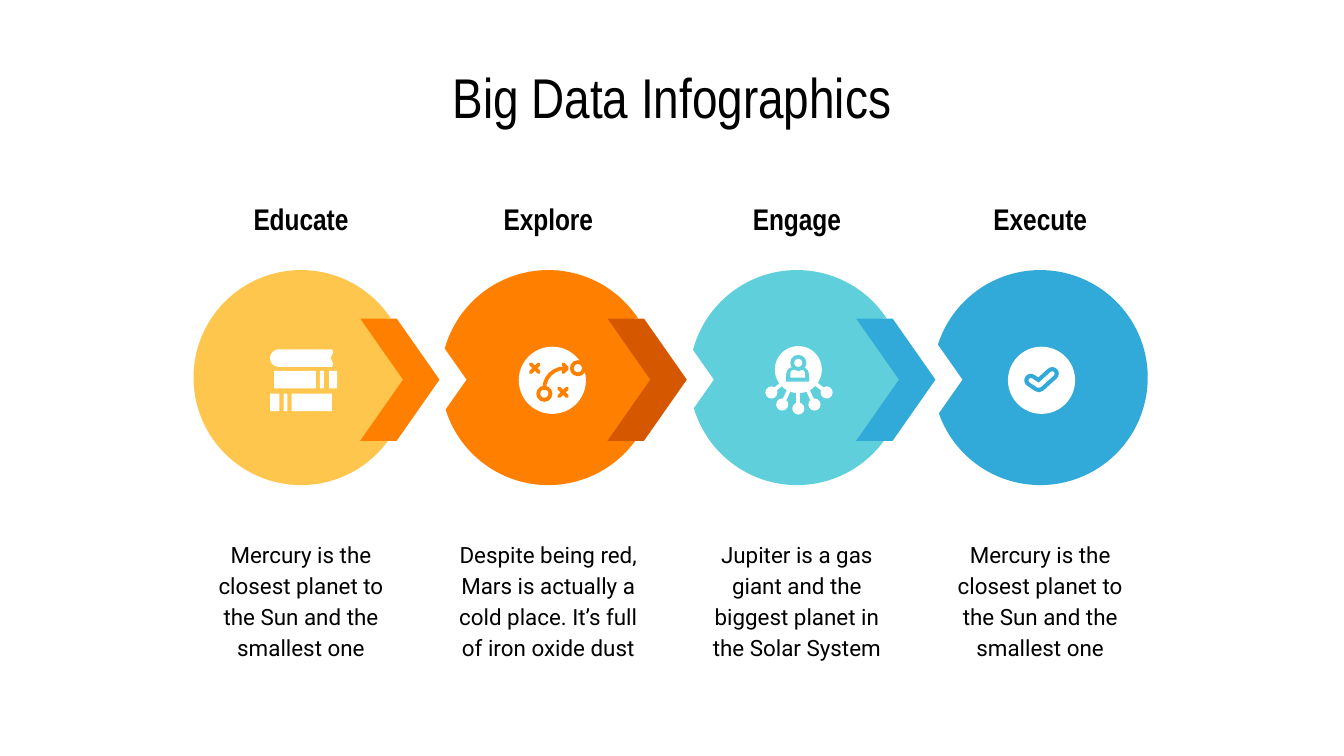
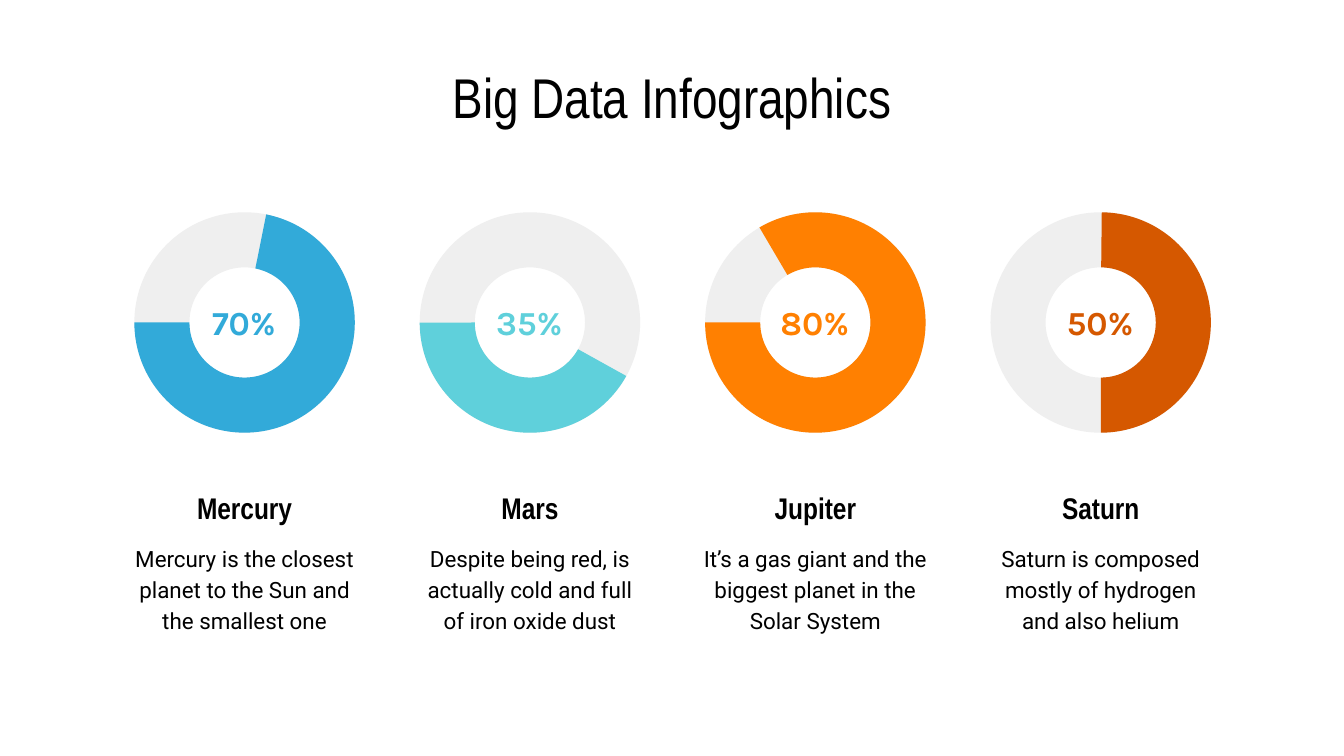
from math import cos, pi, sin

from pptx import Presentation
from pptx.dml.color import RGBColor
from pptx.enum.shapes import MSO_SHAPE
from pptx.enum.text import MSO_ANCHOR, MSO_AUTO_SIZE, PP_ALIGN
from pptx.oxml.ns import qn
from pptx.util import Inches, Pt

OVAL = MSO_SHAPE.OVAL
RECT = MSO_SHAPE.RECTANGLE
ROUNDED = MSO_SHAPE.ROUNDED_RECTANGLE
SHOULDERS = MSO_SHAPE.ROUND_2_SAME_RECTANGLE
CHEVRON = MSO_SHAPE.CHEVRON
ARC = MSO_SHAPE.ARC
BLOCK_ARC = MSO_SHAPE.BLOCK_ARC
TOP, MIDDLE = MSO_ANCHOR.TOP, MSO_ANCHOR.MIDDLE
CENTER = PP_ALIGN.CENTER
NO_FIT = MSO_AUTO_SIZE.NONE

WHITE = RGBColor(0xFF, 0xFF, 0xFF)
BLACK = RGBColor(0, 0, 0)
GRAY = RGBColor(0xEF, 0xEF, 0xEF)
YELLOW = RGBColor(0xFF, 0xC6, 0x4E)
ORANGE = RGBColor(0xFF, 0x80, 0x01)
RUST = RGBColor(0xD5, 0x58, 0x00)
TEAL = RGBColor(0x5F, 0xD0, 0xDB)
BLUE = RGBColor(0x32, 0xAA, 0xD9)

HEADING_FONT, BODY_FONT, NUMBER_FONT = "Arial Narrow", "Roboto", "Karla"
TITLE = "Big Data Infographics"

STEPS = [
    ("Educate", "Mercury is the closest planet to the Sun and the smallest one",
     1.44, YELLOW, ORANGE),
    ("Explore", "Despite being red, Mars is actually a cold place. It’s full of iron oxide dust",
     3.28, ORANGE, RUST),
    ("Engage", "Jupiter is a gas giant and the biggest planet in the Solar System",
     5.13, TEAL, BLUE),
    ("Execute", "Mercury is the closest planet to the Sun and the smallest one",
     6.94, BLUE, None),
]

PLANETS = [
    ("Mercury", "Mercury is the closest planet to the Sun and the smallest one",
     "70%", BLUE, 281.33, 179.98),
    ("Mars", "Despite being red, is actually cold and full of iron oxide dust",
     "35%", TEAL, 29.04, 179.98),
    ("Jupiter", "It’s a gas giant and the biggest planet in the Solar System",
     "80%", ORANGE, 239.55, 179.98),
    ("Saturn", "Saturn is composed mostly of hydrogen and also helium",
     "50%", RUST, 270.57, 89.89),
]

STEP_SIZE, STEP_TOP, ICON_TOP = 1.6, 2.01, 2.58
ARROW_TOP, ARROW_WIDTH, ARROW_HEIGHT = 2.37, 0.59, 0.91
ARROW_SHIFT, GAP_SHIFT = 1.24, 1.44
DONUT_LEFT, DONUT_TOP, DONUT_SIZE = 1, 1.58, 1.64
DONUT_PITCH = 6.37 / 3
CAPTION_WIDTH = 2.08
ANGLE_UNIT = 0.6


def fill_shape(shape, color):
    shape.shadow.inherit = False
    shape.fill.solid()
    shape.fill.fore_color.rgb = color
    shape.line.fill.background()


def add_block(page, kind, color, left, top, width, height, adjustments=()):
    shape = page.shapes.add_shape(
        kind, Inches(left), Inches(top), Inches(width), Inches(height))
    fill_shape(shape, color)
    for index, value in enumerate(adjustments):
        shape.adjustments[index] = value
    return shape


def add_disc(page, color, x, y, diameter):
    add_block(page, OVAL, color, x - diameter / 2, y - diameter / 2, diameter, diameter)


def style_stroke(shape, color, width):
    shape.shadow.inherit = False
    shape.fill.background()
    shape.line.color.rgb = color
    shape.line.width = Pt(width)
    shape._element.spPr.find(qn("a:ln")).set("cap", "rnd")


def add_outline(page, left, top, *lines, close=False):
    placed = [[(Inches(left + x), Inches(top + y)) for x, y in line] for line in lines]
    builder = page.shapes.build_freeform(*placed[0][0])
    builder.add_line_segments(placed[0][1:], close=close)
    for line in placed[1:]:
        builder.move_to(*line[0])
        builder.add_line_segments(line[1:], close=close)
    return builder.convert_to_shape()


def add_stroke(page, color, width, left, top, *lines):
    style_stroke(add_outline(page, left, top, *lines), color, width)


def write(box, text, font, size, color=BLACK, bold=False, anchor=MIDDLE,
          insets=(0.1, 0.1), spacing=None):
    frame = box.text_frame
    frame.text = text
    frame.word_wrap = True
    frame.auto_size = NO_FIT
    frame.vertical_anchor = anchor
    frame.margin_left = frame.margin_right = Inches(insets[0])
    frame.margin_top = frame.margin_bottom = Inches(insets[1])
    para = frame.paragraphs[0]
    para.alignment = CENTER
    if spacing:
        para.line_spacing = spacing
    span = para.runs[0]
    span.font.name = font
    span.font.size = Pt(size)
    span.font.bold = bold
    span.font.color.rgb = color


def add_text(page, place, text, font, size, **style):
    box = page.shapes.add_textbox(*map(Inches, place))
    write(box, text, font, size, **style)


def add_heading(page, place, text, insets):
    add_text(page, place, text, HEADING_FONT, 16, bold=True, insets=insets)


def add_body(page, place, text, **style):
    add_text(page, place, text, BODY_FONT, 12, spacing=1.15, **style)


def add_page(deck):
    page = deck.slides.add_slide(deck.slide_layouts[5])
    title = page.shapes.title
    title.left, title.top, title.width, title.height = map(Inches, (0.5, 0.45, 9, 0.53))
    write(title, TITLE, HEADING_FONT, 30)
    return page


def draw_books(page, left, top, color):
    radius, steps = 0.065, 12
    angles = [pi / 2 + pi * step / steps for step in range(steps + 1)]
    spine = [(radius - radius * abs(cos(angle)), radius - radius * sin(angle))
             for angle in angles]
    pages = [(0.46, 0), (0.47, 0.02), (0.45, radius), (0.47, 0.11), (0.46, 0.13)]
    book = add_outline(page, left, top + 0.02, spine[::-1] + pages, close=True)
    fill_shape(book, WHITE)
    rows = [(0.18, [(0.03, 0.31), (0.37, 0.03), (0.44, 0.06)]),
            (0.35, [(0, 0.07), (0.1, 0.03), (0.16, 0.3)])]
    for y, parts in rows:
        for x, width in parts:
            add_block(page, RECT, WHITE, left + x, top + y, width, 0.13)


def draw_strategy(page, left, top, color):
    add_disc(page, WHITE, left + 0.25, top + 0.25, 0.5)
    for x, y in [(0.19, 0.35), (0.44, 0.16)]:
        add_disc(page, color, left + x, top + y, 0.12)
        add_disc(page, WHITE, left + x, top + y, 0.06)
    reach = 0.03
    for x, y in [(0.12, 0.16), (0.33, 0.34)]:
        add_stroke(page, color, 2, left, top,
                   [(x - reach, y - reach), (x + reach, y + reach)],
                   [(x - reach, y + reach), (x + reach, y - reach)])
    curve = add_block(page, ARC, color, left + 0.19, top + 0.16, 0.3, 0.3,
                      (180 * ANGLE_UNIT, 270 * ANGLE_UNIT))
    style_stroke(curve, color, 2)
    add_stroke(page, color, 2, left, top, [(0.33, 0.13), (0.36, 0.16), (0.33, 0.19)])


def draw_network(page, left, top, color):
    hub = (0.25, 0.17)
    nodes = [(0.05, 0.34), (0.13, 0.43), (0.25, 0.46), (0.37, 0.43), (0.46, 0.34)]
    add_stroke(page, WHITE, 2, left, top, *[[hub, node] for node in nodes])
    for x, y in nodes:
        add_disc(page, WHITE, left + x, top + y, 0.09)
    add_disc(page, WHITE, left + hub[0], top + hub[1], 0.35)
    add_block(page, SHOULDERS, color, left + 0.16, top + 0.15, 0.17, 0.11, (0.5, 0))
    add_block(page, SHOULDERS, WHITE, left + 0.19, top + 0.17, 0.11, 0.06, (0.5, 0))
    add_disc(page, color, left + 0.25, top + 0.12, 0.12)
    add_disc(page, WHITE, left + 0.25, top + 0.12, 0.06)


def draw_check(page, left, top, color):
    add_disc(page, WHITE, left + 0.25, top + 0.25, 0.5)
    tick = [(0.17, 0.25), (0.23, 0.29), (0.33, 0.2)]
    for stroke_color, width in [(color, 7), (WHITE, 2.5)]:
        add_stroke(page, stroke_color, width, left, top, tick)


ICONS = [(draw_books, 0.57), (draw_strategy, 0.58), (draw_network, 0.56), (draw_check, 0.56)]


def build_steps(deck):
    page = add_page(deck)
    for heading, body, left, color, arrow_color in reversed(STEPS):
        add_block(page, ROUNDED, color, left, STEP_TOP, STEP_SIZE, STEP_SIZE, (0.5,))
        if arrow_color:
            for shift, fill in [(GAP_SHIFT, WHITE), (ARROW_SHIFT, arrow_color)]:
                add_block(page, CHEVRON, fill, left + shift, ARROW_TOP,
                          ARROW_WIDTH, ARROW_HEIGHT, (0.54,))
    for (heading, body, left, color, arrow_color), (draw_icon, inset) in zip(STEPS, ICONS):
        add_heading(page, (left, 1.24, STEP_SIZE, 0.77), heading, (0.25, 0.25))
        add_body(page, (left, 3.9, STEP_SIZE, 1.28), body, anchor=TOP)
        draw_icon(page, left + inset, ICON_TOP, color)


def build_planets(deck):
    page = add_page(deck)
    for column, (name, body, share, color, start, end) in enumerate(PLANETS):
        left = DONUT_LEFT + column * DONUT_PITCH
        for fill, first, last in [(GRAY, 180, 179.98), (color, start, end)]:
            add_block(page, BLOCK_ARC, fill, left, DONUT_TOP, DONUT_SIZE, DONUT_SIZE,
                      (first * ANGLE_UNIT, last * ANGLE_UNIT, 0.25))
        add_text(page, (left + 0.35, 2.21, 0.93, 0.38), share, NUMBER_FONT, 18,
                 color=color, bold=True)
        caption_left = left + (DONUT_SIZE - CAPTION_WIDTH) / 2
        add_heading(page, (caption_left, 3.6, CAPTION_WIDTH, 0.36), name, (0.2, 0))
        add_body(page, (caption_left, 3.96, CAPTION_WIDTH, 0.82), body, insets=(0.2, 0))


def main():
    deck = Presentation()
    deck.slide_width = Inches(10)
    deck.slide_height = deck.slide_width * 9 // 16
    build_steps(deck)
    build_planets(deck)
    deck.save("out.pptx")


if __name__ == "__main__":
    main()
